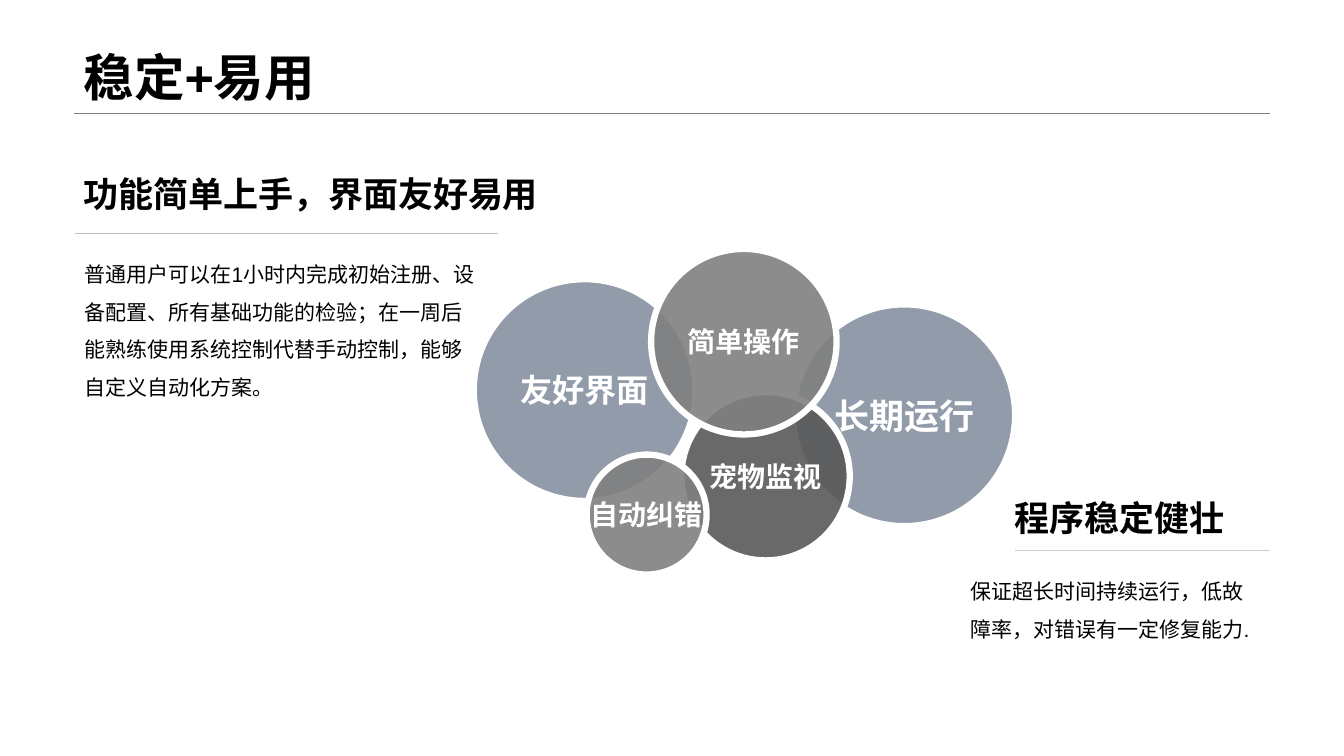
"""Build the slide on stability and ease of use, with five overlapping circles."""
import dataclasses

import lxml.etree
import pptx
import pptx.dml.color
import pptx.enum.lang
import pptx.enum.shapes
import pptx.enum.text
import pptx.oxml.ns
import pptx.util

RGB = pptx.dml.color.RGBColor
ALIGN = pptx.enum.text.PP_ALIGN
ANCHOR = pptx.enum.text.MSO_ANCHOR
qn = pptx.oxml.ns.qn

BLACK = RGB(0x00, 0x00, 0x00)
WHITE = RGB(0xFF, 0xFF, 0xFF)
SLATE = RGB(0x76, 0x83, 0x94)
CHARCOAL = RGB(0x59, 0x59, 0x59)
GRAY = RGB(0x80, 0x80, 0x80)
SILVER = RGB(0xBF, 0xBF, 0xBF)
MIST = RGB(0xC8, 0xCD, 0xD4)

COLUMNS, ROWS = 160, 90
LEFT, RIGHT = 8.76, 151.2
TITLE_BOTTOM = 13.44

prs = pptx.Presentation()
prs.slide_width = pptx.util.Inches(13.33)
prs.slide_height = pptx.util.Inches(7.5)


def col(n: float) -> int:
    return round(prs.slide_width * n / COLUMNS)


def row(n: float) -> int:
    return round(prs.slide_height * n / ROWS)


@dataclasses.dataclass
class Circle:
    text: str
    x: float
    y: float
    diameter: float
    color: RGB
    opacity: int
    size: int


@dataclasses.dataclass
class Block:
    text: str
    x: float
    y: float
    width: float
    height: float
    style: dict


@dataclasses.dataclass
class Rule:
    x1: float
    x2: float
    y: float
    color: RGB


HEADING = dict(size=25, bold=True)
BODY = dict(size=15, spacing=1.5)

CIRCLES = [
    Circle("友好界面", 69.6, 46.44, 26.4, SLATE, 80, 23),
    Circle("长期运行", 107.64, 49.44, 26.4, SLATE, 80, 25),
    Circle("宠物监视", 91.14, 56.7, 20.04, CHARCOAL, 90, 20),
    Circle("简单操作", 88.56, 40.68, 22.08, GRAY, 90, 20),
    Circle("自动纠错", 76.98, 61.26, 14.28, GRAY, 90, 20),
]
BLOCKS = [
    Block("功能简单上手，界面友好易用", LEFT, 15, 62.88, 11.16,
          HEADING | dict(anchor=ANCHOR.BOTTOM)),
    Block("普通用户可以在1小时内完成初始注册、设备配置、所有基础功能的检验；"
          "在一周后能熟练使用系统控制代替手动控制，能够自定义自动化方案。",
          8.88, 29.04, 48.96, 15.96, BODY),
    Block("程序稳定健壮", 119.64, 58.56, 31.56, 5.16, HEADING),
    Block("保证超长时间持续运行，低故障率，对错误有一定修复能力.",
          114.36, 66.84, 36.84, 9.6, BODY),
]
RULES = [
    Rule(LEFT, RIGHT, TITLE_BOTTOM, GRAY),
    Rule(8.88, 59.28, 27.72, SILVER),
    Rule(120.84, RIGHT, 65.52, MIST),
]


def write(sp, text: str, *, size: int, color: RGB = BLACK, bold: bool = False,
          align=ALIGN.LEFT, anchor=ANCHOR.TOP, spacing: float = 1.0,
          wrap: bool = True) -> None:
    tf = sp.text_frame
    tf.auto_size = pptx.enum.text.MSO_AUTO_SIZE.NONE
    tf.word_wrap = wrap
    tf.vertical_anchor = anchor
    p = tf.paragraphs[0]
    p.alignment = align
    p.line_spacing = spacing
    r = p.add_run()
    r.text = text
    r.font.name = "Arial"
    r.font.size = pptx.util.Pt(size)
    r.font.bold = bold
    r.font.color.rgb = color
    r.font.language_id = pptx.enum.lang.MSO_LANGUAGE_ID.SIMPLIFIED_CHINESE


def draw_circle(shapes, c: Circle) -> None:
    half = c.diameter / 2
    sp = shapes.add_shape(pptx.enum.shapes.MSO_SHAPE.OVAL, col(c.x - half),
                          row(c.y - half), col(c.diameter), row(c.diameter))
    sp.shadow.inherit = False
    sp.fill.solid()
    sp.fill.fore_color.rgb = c.color
    rgb = sp._element.spPr.find(qn("a:solidFill")).find(qn("a:srgbClr"))
    lxml.etree.SubElement(rgb, qn("a:alpha"), val=str(c.opacity * 1000))
    sp.line.color.rgb = WHITE
    sp.line.width = pptx.util.Pt(4.5)
    write(sp, c.text, size=c.size, color=WHITE, bold=True, align=ALIGN.CENTER,
          anchor=ANCHOR.MIDDLE, wrap=False)


def draw_block(shapes, b: Block) -> None:
    sp = shapes.add_textbox(col(b.x), row(b.y), col(b.width), row(b.height))
    write(sp, b.text, **b.style)


def draw_rule(shapes, rule: Rule) -> None:
    sp = shapes.add_connector(pptx.enum.shapes.MSO_CONNECTOR.STRAIGHT,
                              col(rule.x1), row(rule.y), col(rule.x2), row(rule.y))
    sp.line.color.rgb = rule.color
    sp.line.width = pptx.util.Pt(0.25)
    lxml.etree.SubElement(sp._element.spPr, qn("a:effectLst"))


s = prs.slides.add_slide(prs.slide_layouts.get_by_name("Title Only"))
title = s.shapes.title
title.left, title.top = col(LEFT), row(0)
title.width, title.height = col(RIGHT - LEFT), row(TITLE_BOTTOM)
write(title, "稳定+易用", size=36, bold=True, anchor=ANCHOR.BOTTOM, spacing=0.9)

for circle in CIRCLES:
    draw_circle(s.shapes, circle)
for block in BLOCKS:
    draw_block(s.shapes, block)
for rule in RULES:
    draw_rule(s.shapes, rule)

prs.save("out.pptx")
